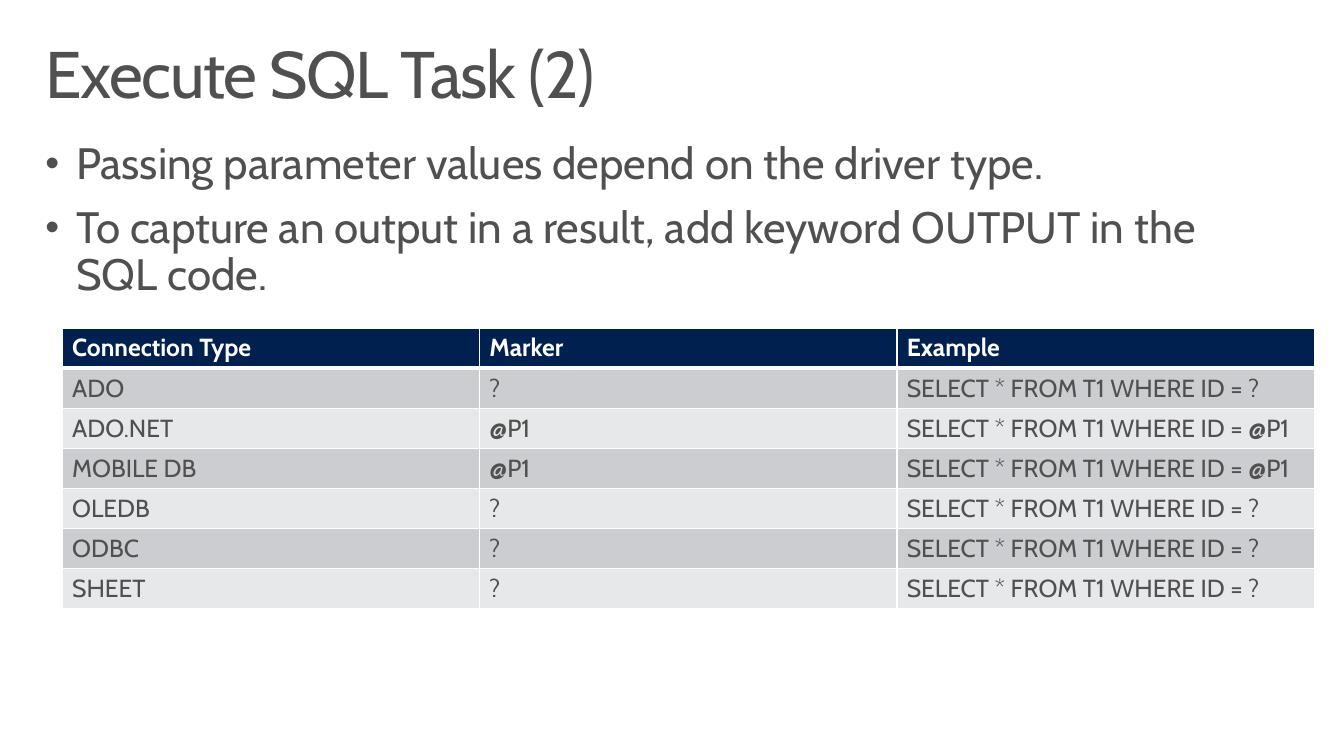
from dataclasses import dataclass

from lxml.etree import SubElement
from pptx import Presentation
from pptx.dml.color import RGBColor
from pptx.enum.text import MSO_ANCHOR, PP_ALIGN
from pptx.oxml.ns import qn
from pptx.util import Inches, Pt

TITLE = "Execute SQL Task (2)"
BULLETS = [
    "Passing parameter values depend on the driver type.",
    "To capture an output in a result, add keyword OUTPUT in the SQL code.",
]
HEADER = ("Connection Type", "Marker", "Example")
QUERY = "SELECT * FROM T1 WHERE ID = "
CONNECTIONS = [
    ("ADO", "?"),
    ("ADO.NET", "@P1"),
    ("MOBILE DB", "@P1"),
    ("OLEDB", "?"),
    ("ODBC", "?"),
    ("SHEET", "?"),
]


@dataclass(frozen=True)
class Theme:
    font: str = "Cabin"
    text: str = "505050"
    white: str = "FFFFFF"
    header: str = "002050"
    bands: tuple = ("CCCDD0", "E7E8E9")
    title_size: int = 48
    bullet_size: int = 32
    table_size: int = 18
    thin: int = 1
    thick: int = 3


THEME = Theme()


def add_text(para, text, size, color, bold=False):
    span = para.add_run()
    span.text = text
    span.font.name = THEME.font
    span.font.size = Pt(size)
    span.font.bold = bold
    span.font.color.rgb = RGBColor.from_string(color)
    return span


def prepare_frame(frame):
    frame.word_wrap = True
    frame.vertical_anchor = MSO_ANCHOR.TOP
    frame.margin_left = frame.margin_right = Inches(0.16)
    frame.margin_top = frame.margin_bottom = Inches(0.1)


def place(shape, left, top, width, height):
    shape.left, shape.top = Inches(left), Inches(top)
    shape.width, shape.height = Inches(width), Inches(height)


def add_title(page):
    title = page.shapes.title
    place(title, 0.3, 0.32, 13, 1)
    prepare_frame(title.text_frame)
    para = title.text_frame.paragraphs[0]
    para.alignment = PP_ALIGN.LEFT
    para.line_spacing = 0.9
    span = add_text(para, TITLE, THEME.title_size, THEME.text)
    span.font._element.set("spc", "-100")


def set_bullet(para):
    properties = para._p.get_or_add_pPr()
    indent = Inches(0.31)
    properties.set("marL", str(indent))
    properties.set("indent", str(-indent))
    color = SubElement(properties, qn("a:buClr"))
    SubElement(color, qn("a:srgbClr"), val=THEME.text)
    SubElement(properties, qn("a:buSzPct"), val="90000")
    SubElement(properties, qn("a:buFont"), typeface="Arial")
    SubElement(properties, qn("a:buChar"), char="•")


def add_bullets(page):
    box = page.shapes.add_textbox(
        Inches(0.3), Inches(1.33), Inches(12.58), Inches(1.82))
    frame = box.text_frame
    prepare_frame(frame)
    for index, text in enumerate(BULLETS):
        para = frame.add_paragraph() if index else frame.paragraphs[0]
        para.line_spacing = 0.9
        para.space_before = Pt(12.2)
        set_bullet(para)
        add_text(para, text, THEME.bullet_size, THEME.text)


def set_borders(cell, top, bottom):
    """Draw white borders; they must precede the fill in the cell's XML."""
    properties = cell._tc.get_or_add_tcPr()
    widths = {"L": THEME.thin, "R": THEME.thin, "T": top, "B": bottom}
    for side, width in widths.items():
        line = SubElement(properties, qn(f"a:ln{side}"), w=str(Pt(width)))
        fill = SubElement(line, qn("a:solidFill"))
        SubElement(fill, qn("a:srgbClr"), val=THEME.white)


def add_connection_table(page):
    rows = [HEADER] + [(kind, mark, QUERY + mark) for kind, mark in CONNECTIONS]
    table = page.shapes.add_table(
        len(rows), len(HEADER),
        Inches(0.63), Inches(3.32), Inches(12.67), Inches(2.84)).table
    for row_index, row in enumerate(rows):
        is_header = row_index == 0
        fill = THEME.header if is_header else THEME.bands[(row_index - 1) % 2]
        color = THEME.white if is_header else THEME.text
        top = THEME.thick if row_index == 1 else THEME.thin
        bottom = THEME.thick if is_header else THEME.thin
        for column_index, text in enumerate(row):
            cell = table.cell(row_index, column_index)
            set_borders(cell, top, bottom)
            cell.fill.solid()
            cell.fill.fore_color.rgb = RGBColor.from_string(fill)
            add_text(cell.text_frame.paragraphs[0], text,
                     THEME.table_size, color, is_header)


def main():
    deck = Presentation()
    deck.slide_width, deck.slide_height = Inches(13.6), Inches(7.65)
    page = deck.slides.add_slide(deck.slide_layouts[5])
    page.background.fill.solid()
    page.background.fill.fore_color.rgb = RGBColor.from_string(THEME.white)
    add_title(page)
    add_bullets(page)
    add_connection_table(page)
    deck.save("out.pptx")


if __name__ == "__main__":
    main()
